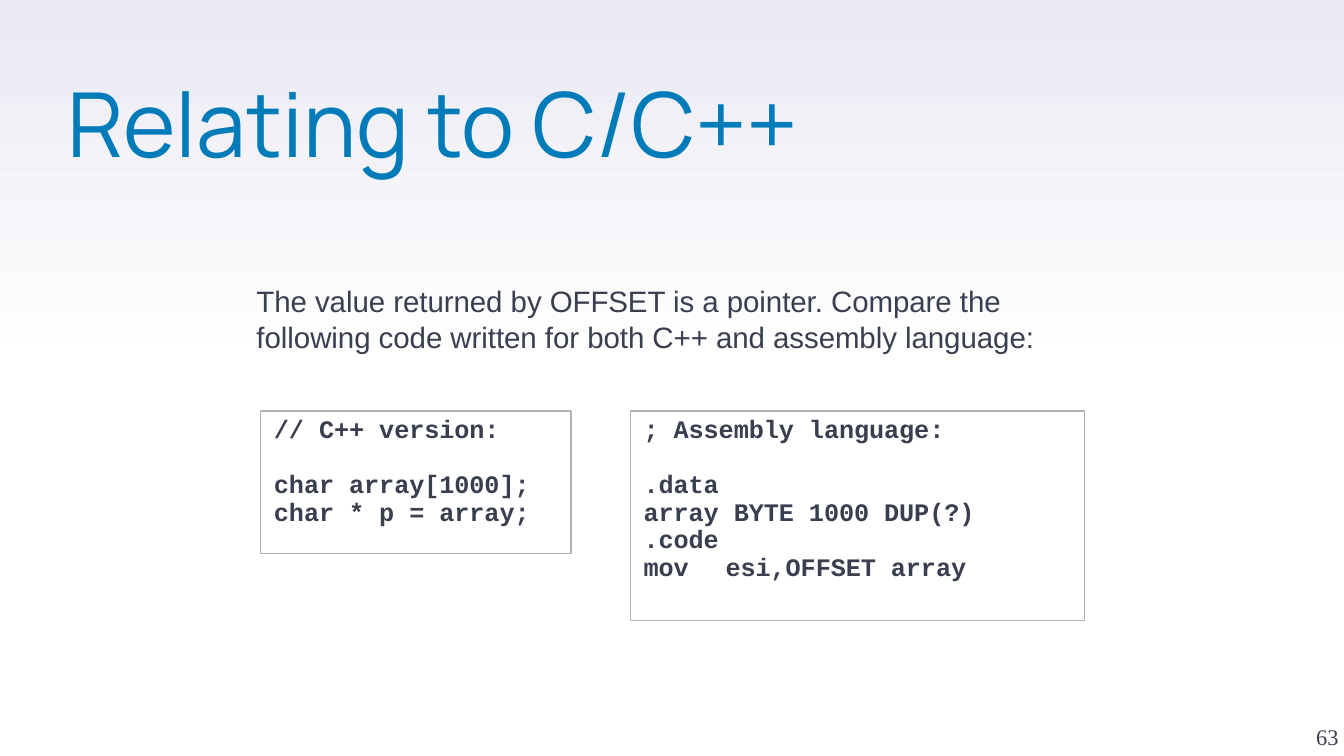
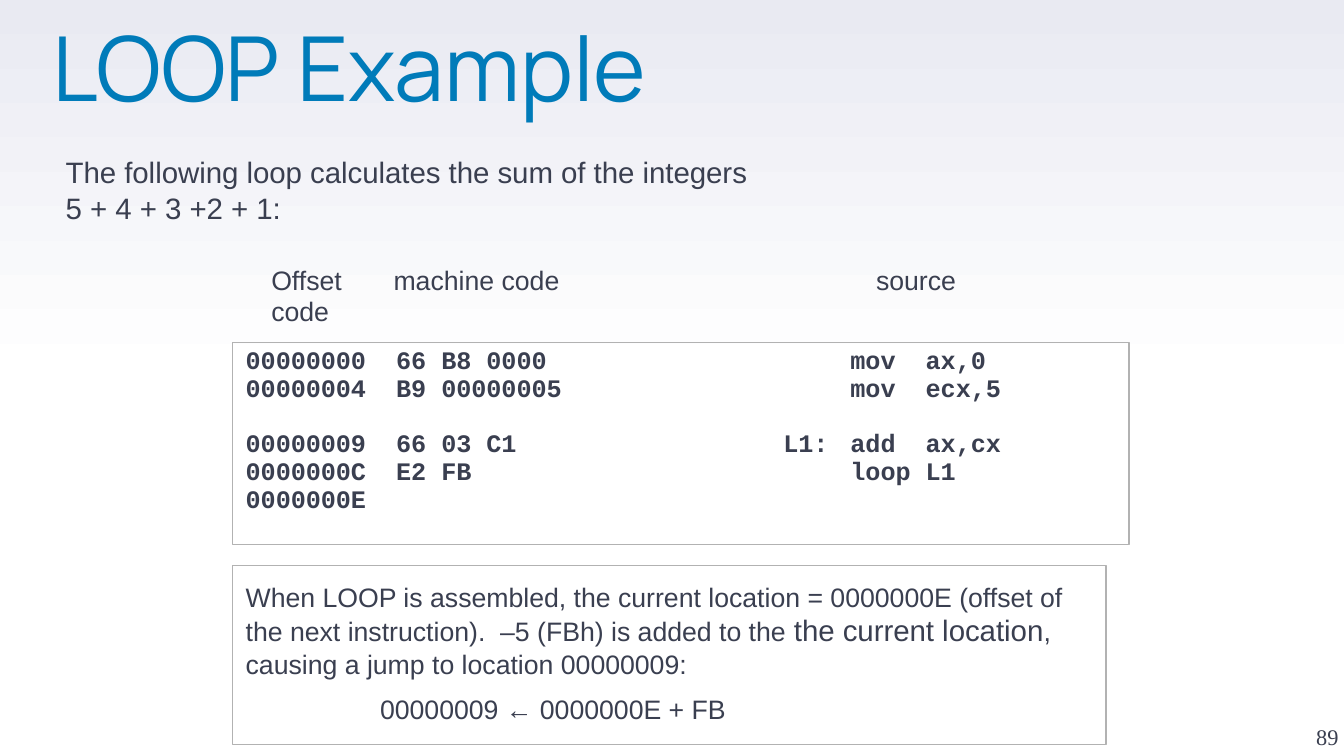
import pptx
import pptx.util
import pptx.dml.color
import pptx.enum.shapes
import pptx.enum.text
import pptx.oxml

Inches, Pt = pptx.util.Inches, pptx.util.Pt
RGB = pptx.dml.color.RGBColor.from_string
Align, Anchor = pptx.enum.text.PP_ALIGN, pptx.enum.text.MSO_ANCHOR

COLORS = {"title": "007BB9", "ink": "3A3F50", "border": "B2B2B2",
          "white": "FFFFFF", "lavender": "E9EAF2"}
PROSE = {"font": "Arial", "size": 15.75, "bold": False, "spacing": 1.0}
SMALL = {**PROSE, "size": 14.25}
CODE = {"font": "Courier New", "size": 13.5, "bold": True, "spacing": 0.5}
CODE_PITCH = 14.85  # points from one code line to the next

# Widescreen, 16:9
prs = pptx.Presentation()
prs.slide_width = Inches(10)
prs.slide_height = prs.slide_width * 9 // 16
title_only = prs.slide_layouts[5]

# Shared background: white, fading to lavender at the top
backdrop = prs.slide_master.background.fill
backdrop.gradient()
backdrop.gradient_angle = 90
for stop, position, color in zip(backdrop.gradient_stops, (0.5, 1), ("white", "lavender")):
    stop.position = position
    stop.color.rgb = RGB(COLORS[color])


def start_slide(heading, left, top, number):
    """Add a slide with its title and page number."""
    slide = prs.slides.add_slide(title_only)
    title = slide.shapes.title
    title.left, title.top = Inches(left), Inches(top)
    title.width, title.height = Inches(8.96), Inches(1.18)
    page = slide.shapes.add_textbox(Inches(9.46), Inches(5.07), Inches(0.5), Inches(0.51))
    for part, text, font, size, color, align, anchor in (
            (title, heading, "Manrope", 48, "title", Align.LEFT, Anchor.TOP),
            (page, number, "Times New Roman", 12, "ink", Align.RIGHT, Anchor.BOTTOM)):
        frame = part.text_frame
        frame.text = text
        frame.word_wrap = True
        frame.auto_size = pptx.enum.text.MSO_AUTO_SIZE.NONE
        frame.vertical_anchor = anchor
        frame.margin_left = frame.margin_right = frame.margin_top = frame.margin_bottom = 0
        paragraph = frame.paragraphs[0]
        paragraph.alignment = align
        paragraph.font.name, paragraph.font.size = font, Pt(size)
        paragraph.font.color.rgb = RGB(COLORS[color])
    title.text_frame.paragraphs[0].line_spacing = 0.8
    return slide


def add_text(slide, at, lines, style, boxed=False, tabs=(), gap_before=None):
    """Add lines of text, optionally in a bordered box; gap_before is a line index."""
    place = [Inches(length) for length in at]
    if boxed:
        block = slide.shapes.add_shape(pptx.enum.shapes.MSO_SHAPE.RECTANGLE, *place)
        block.shadow.inherit = False
        block.fill.background()
        block.line.color.rgb = RGB(COLORS["border"])
        block.line.width = Pt(0.75)
    else:
        block = slide.shapes.add_textbox(*place)
    frame = block.text_frame
    frame.text = "\n".join(lines)
    frame.word_wrap = True
    frame.vertical_anchor = Anchor.TOP
    frame.margin_left = frame.margin_right = Inches(0.1)
    frame.margin_top = frame.margin_bottom = Inches(0.11)
    for index, paragraph in enumerate(frame.paragraphs):
        paragraph.alignment = Align.LEFT
        paragraph.line_spacing = style["spacing"]
        gap = CODE_PITCH if index == gap_before else 0
        paragraph.space_before = Pt(style["size"] * 0.5 + gap)
        paragraph.font.name, paragraph.font.size = style["font"], Pt(style["size"])
        paragraph.font.bold = style["bold"]
        paragraph.font.color.rgb = RGB(COLORS["ink"])
        if tabs:
            stops = pptx.oxml.parse_xml(
                '<a:tabLst xmlns:a="http://schemas.openxmlformats.org/drawingml/2006/main">'
                + "".join(f'<a:tab pos="{Inches(tab)}" algn="l"/>' for tab in tabs)
                + "</a:tabLst>")
            # Tab stops come just before the default run properties
            properties = paragraph._p.pPr
            properties.insert(len(properties) - 1, stops)
    return frame


# Slide 1: OFFSET compared with a C++ pointer
relating = start_slide("Relating to C/C++", 0.5, 0.66, "63")
add_text(relating, (1.94, 3.06, 2.31, 1.06),
         ["// C++ version:", "char array[1000];", "char * p = array;"],
         CODE, boxed=True, gap_before=1)
add_text(relating, (1.81, 2, 6.31, 0.76),
         ["The value returned by OFFSET is a pointer. Compare the following code "
          "written for both C++ and assembly language:"], PROSE)
add_text(relating, (4.69, 3.06, 3.38, 1.56),
         ["; Assembly language:", ".data", "array BYTE 1000 DUP(?)", ".code",
          "mov\tesi,OFFSET array"],
         CODE, boxed=True, tabs=(0.61,), gap_before=1)

# Slide 2: LOOP listing with its assembled code
loop = start_slide("LOOP Example", 0.39, 0.24, "89")
add_text(loop, (1.73, 2.55, 6.67, 1.5),
         ["00000000\t66 B8 0000\t\tmov\tax,0",
          "00000004\tB9 00000005\t\tmov\tecx,5",
          "00000009\t66 03 C1\tL1:\tadd\tax,cx",
          "0000000C\tE2 FB\t\tloop\tL1",
          "0000000E"],
         CODE, boxed=True, tabs=(1.12, 4, 4.5, 5.06), gap_before=2)
add_text(loop, (0.39, 1.04, 5.38, 0.76),
         ["The following loop calculates the sum of the integers 5 + 4 + 3 +2 + 1:"], PROSE)

# Explanation of the jump, with one phrase set larger
jump = add_text(loop, (1.73, 4.21, 6.5, 1.33),
                ["When LOOP is assembled, the current location = 0000000E (offset of the "
                 "next instruction).  –5 (FBh) is added to the ",
                 "\t00000009 ← 0000000E + FB"],
                SMALL, boxed=True, tabs=(1,))
for text, size in (("the current location", PROSE["size"]),
                   (", causing a jump to location 00000009:", SMALL["size"])):
    run = jump.paragraphs[0].add_run()
    run.text = text
    run.font.size = Pt(size)

# Column headings above the listing
add_text(loop, (1.92, 1.85, 5.31, 0.71), ["Offset\tmachine code\tsource code"],
         SMALL, tabs=(0.91, 4.5))

prs.save("out.pptx")
